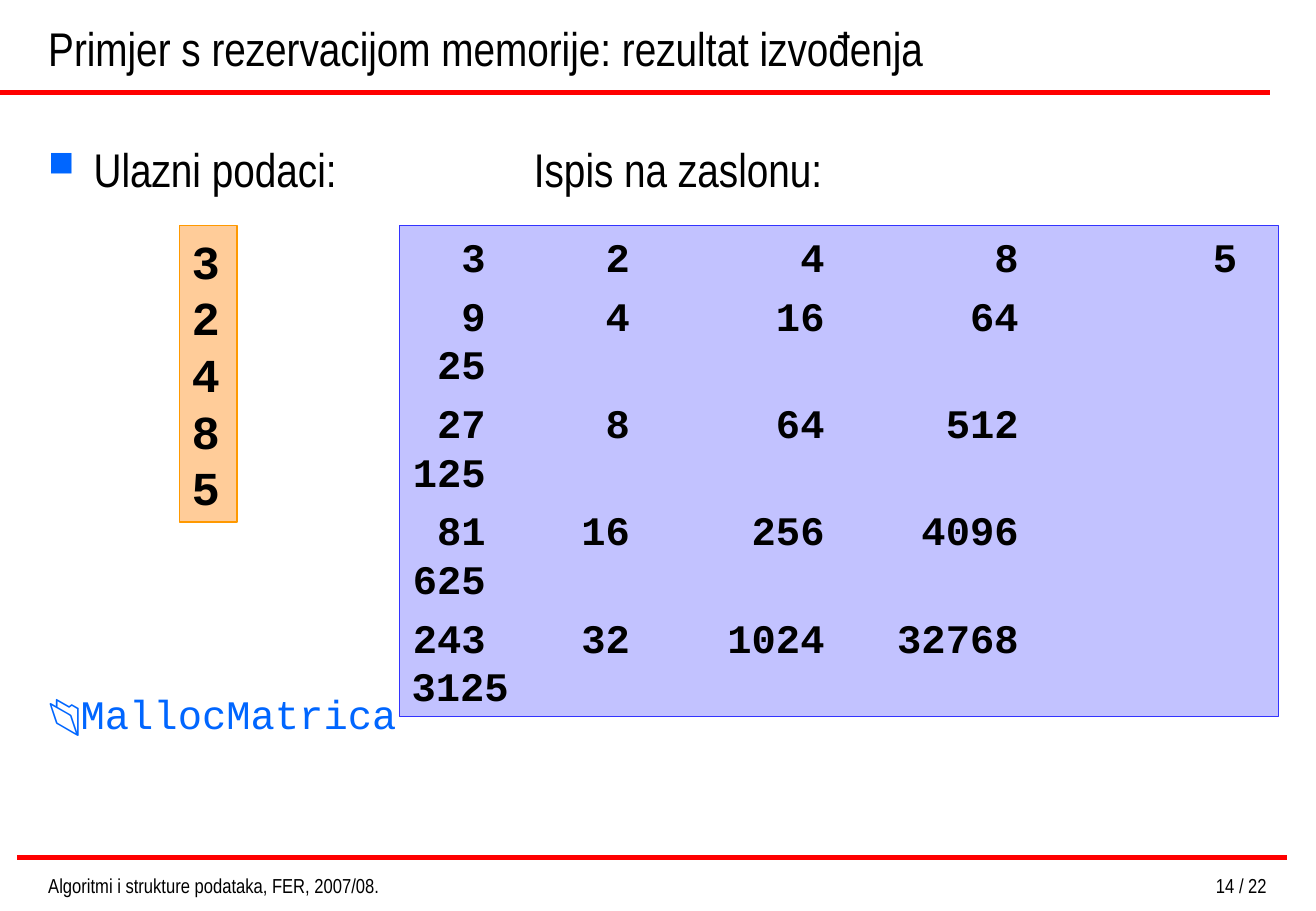
from lxml import etree
from pptx import Presentation
from pptx.dml.color import RGBColor
from pptx.enum.shapes import MSO_CONNECTOR, MSO_SHAPE
from pptx.enum.text import MSO_ANCHOR, PP_ALIGN
from pptx.oxml.ns import qn
from pptx.util import Cm, Pt

BLACK = RGBColor(0x00, 0x00, 0x00)
RED = RGBColor(0xFF, 0x00, 0x00)
BLUE = RGBColor(0x00, 0x66, 0xFF)
PEACH = RGBColor(0xFF, 0xCC, 0x99)
ORANGE = RGBColor(0xFF, 0x99, 0x00)
LAVENDER = RGBColor(0xC2, 0xC2, 0xFF)
INDIGO = RGBColor(0x33, 0x33, 0xFF)

RECTANGLE = MSO_SHAPE.RECTANGLE
STRAIGHT = MSO_CONNECTOR.STRAIGHT
TOP, BOTTOM = MSO_ANCHOR.TOP, MSO_ANCHOR.BOTTOM
LEFT, RIGHT = PP_ALIGN.LEFT, PP_ALIGN.RIGHT

NARROW, MONO, SANS = "Arial Narrow", "Courier New", "Arial"
MARGIN = 0.76
INPUTS = [3, 2, 4, 8, 5]
COLUMN_ENDS = [1.55, 4.57, 8.64, 12.7, 17.27]


def style_font(font, name, size, color=BLACK, bold=False):
    font.name = name
    font.size = Pt(size)
    font.bold = bold
    font.color.rgb = color


def prepare_frame(frame, anchor=TOP):
    frame.word_wrap = True
    frame.vertical_anchor = anchor
    frame.margin_left = frame.margin_right = Cm(0.25)
    frame.margin_top = frame.margin_bottom = Cm(0.13)


def add_rule(slide, left, top):
    rule = slide.shapes.add_connector(
        STRAIGHT, Cm(left), Cm(top), Cm(left + 26.57), Cm(top))
    rule.line.color.rgb = RED
    rule.line.width = Pt(3)
    etree.SubElement(rule._element.spPr, qn("a:effectLst"))


def add_label(slide, text, box, size, anchor=TOP, align=LEFT):
    """Add a one-line text box and return its paragraph."""
    frame = slide.shapes.add_textbox(*map(Cm, box)).text_frame
    prepare_frame(frame, anchor)
    paragraph = frame.paragraphs[0]
    paragraph.text = text
    paragraph.alignment = align
    style_font(paragraph.font, NARROW, size)
    return paragraph


def add_square_bullet(paragraph):
    properties = paragraph._p.get_or_add_pPr()
    properties.set("marL", str(Cm(0.95)))
    properties.set("indent", str(-Cm(0.95)))
    color = etree.Element(qn("a:buClr"))
    etree.SubElement(color, qn("a:srgbClr"), val=str(BLUE))
    size = etree.Element(qn("a:buSzPct"), val="75000")
    bullet = etree.Element(qn("a:buChar"), char="■")
    for position, element in enumerate((color, size, bullet)):
        properties.insert(position, element)


def add_right_tabs(paragraph):
    tabs = etree.SubElement(paragraph._p.get_or_add_pPr(), qn("a:tabLst"))
    for end in COLUMN_ENDS:
        etree.SubElement(tabs, qn("a:tab"), pos=str(Cm(end)), algn="r")


def add_number_box(slide, box, fill, outline, lines, size, gap=0, tabbed=False):
    shape = slide.shapes.add_shape(RECTANGLE, *map(Cm, box))
    shape.shadow.inherit = False
    shape.fill.solid()
    shape.fill.fore_color.rgb = fill
    shape.line.color.rgb = outline
    shape.line.width = Pt(0.75)
    frame = shape.text_frame
    prepare_frame(frame)
    for index, line in enumerate(lines):
        paragraph = frame.add_paragraph() if index else frame.paragraphs[0]
        paragraph.text = line
        paragraph.alignment = LEFT
        paragraph.space_before = Pt(gap if index else 0)
        if tabbed:
            add_right_tabs(paragraph)
        style_font(paragraph.font, MONO, size, bold=True)


def power_line(exponent):
    """Powers of the inputs; after the first row the last one wraps."""
    *powers, last = [str(number ** exponent) for number in INPUTS]
    line = "".join(f"\t{power}" for power in powers)
    if exponent == 1:
        return f"{line}\t{last}"
    return f"{line}\v{last}" if len(last) > 3 else f"{line}\v\t{last}"


def add_program_name(slide):
    frame = slide.shapes.add_textbox(
        Cm(MARGIN), Cm(14.27), Cm(7.8), Cm(1.3)).text_frame
    prepare_frame(frame)
    for text, name in (("📂", SANS), ("MallocMatrica", MONO)):
        run = frame.paragraphs[0].add_run()
        run.text = text
        style_font(run.font, name, 24, BLUE)


def main():
    presentation = Presentation()
    presentation.slide_width = Cm(27.53)
    presentation.slide_height = Cm(19.05)
    slide = presentation.slides.add_slide(presentation.slide_layouts[6])

    add_rule(slide, 0, 1.93)
    add_rule(slide, 0.36, 17.93)
    add_label(slide, "Primjer s rezervacijom memorije: rezultat izvođenja",
              (MARGIN, 0, 25.81, 1.73), 28, BOTTOM)
    heading = add_label(slide, "Ulazni podaci:", (MARGIN, 2.8, 9, 1.4), 28)
    add_square_bullet(heading)
    add_label(slide, "Ispis na zaslonu:", (10.92, 2.8, 9, 1.4), 28)
    add_program_name(slide)
    add_number_box(slide, (3.76, 4.72, 1.2, 6.2), PEACH, ORANGE,
                   [str(number) for number in INPUTS], 28)
    add_number_box(slide, (8.36, 4.72, 18.39, 10.26), LAVENDER, INDIGO,
                   [power_line(exponent) for exponent in range(1, 6)],
                   24, gap=6, tabbed=True)
    add_label(slide, "14 / 22", (19.71, 18.14, 7.04, 0.61), 12, align=RIGHT)
    add_label(slide, "Algoritmi i strukture podataka, FER, 2007/08.",
              (MARGIN, 18.14, 9.6, 0.61), 12)
    presentation.save("out.pptx")


if __name__ == "__main__":
    main()
